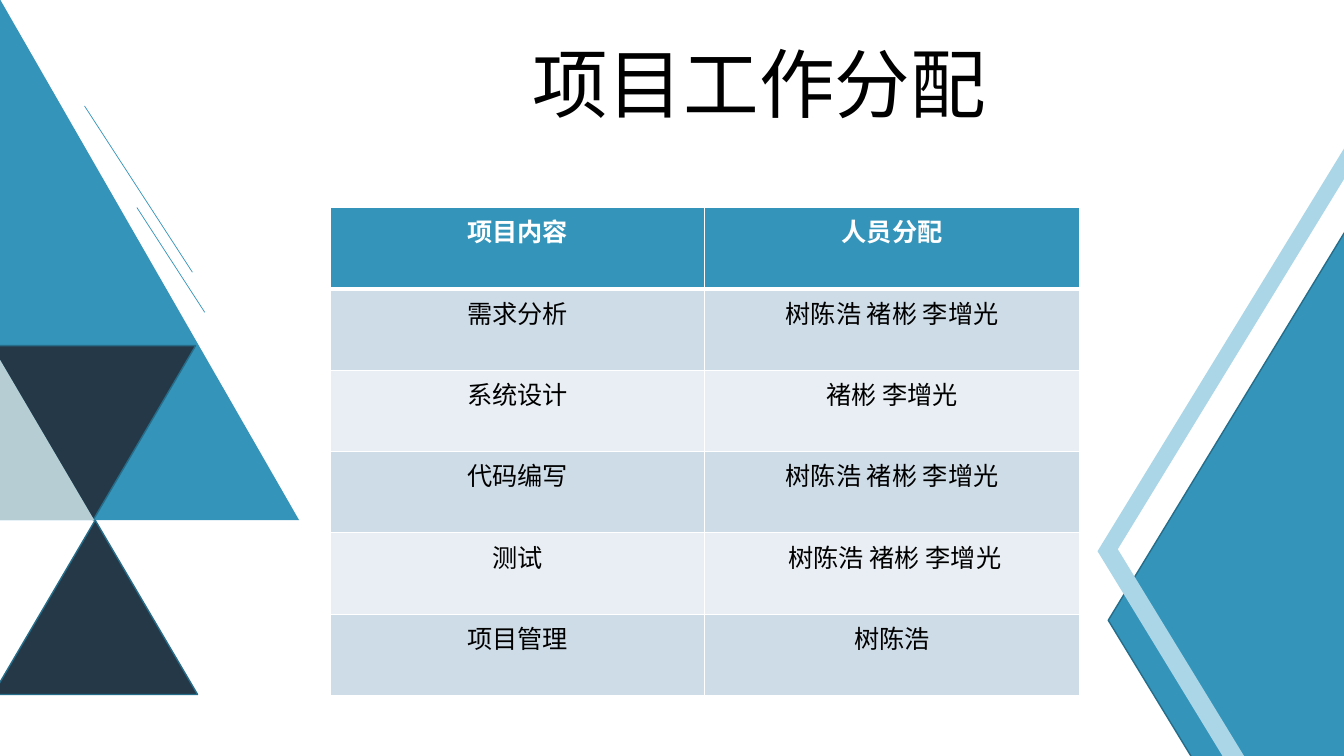
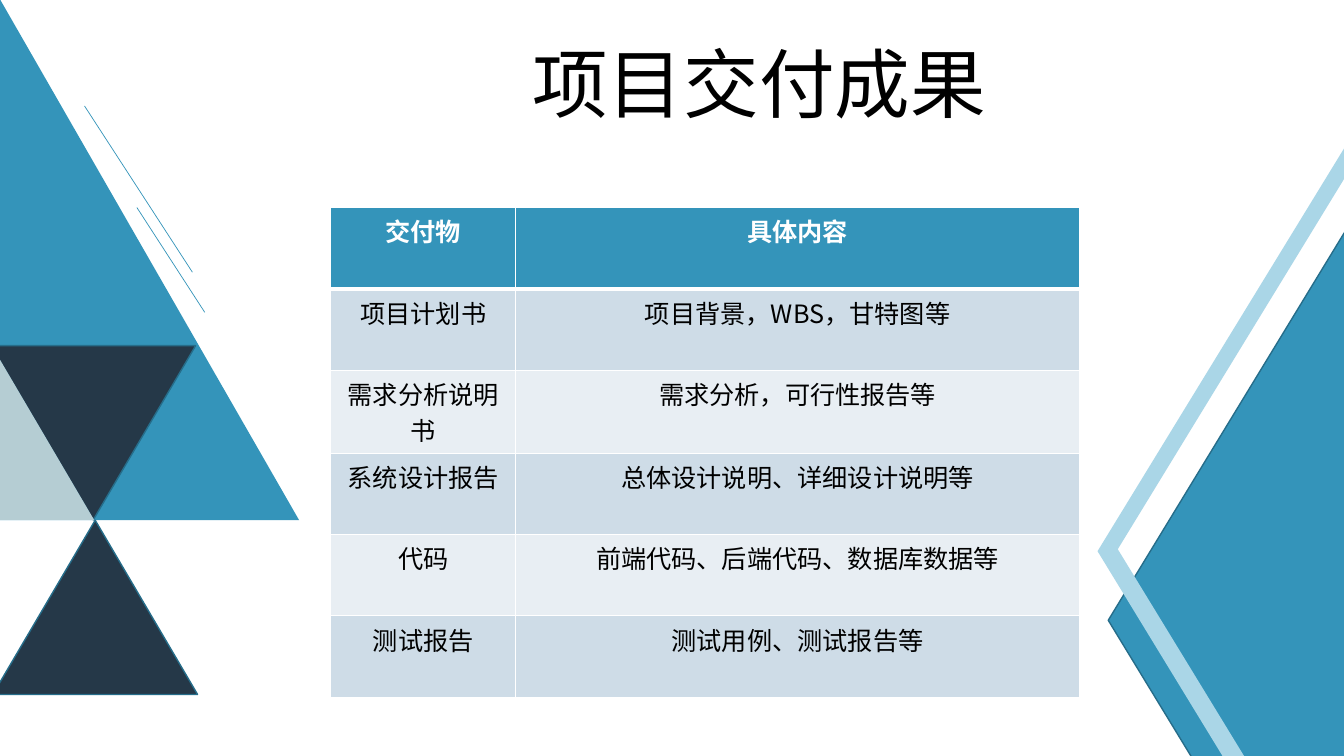
from lxml.etree import SubElement
from pptx import Presentation
from pptx.dml.color import RGBColor
from pptx.enum.shapes import MSO_CONNECTOR, MSO_SHAPE
from pptx.enum.text import MSO_ANCHOR, MSO_AUTO_SIZE, PP_ALIGN
from pptx.oxml.ns import qn
from pptx.util import Cm, Pt

# Content
SLIDES = [
    {
        "title": "项目工作分配",
        "columns": (9.43, 9.44),
        "rows": [
            ("项目内容", "人员分配"),
            ("需求分析", "树陈浩 褚彬 李增光"),
            ("系统设计", "褚彬 李增光"),
            ("代码编写", "树陈浩 褚彬 李增光"),
            ("测试", " 树陈浩 褚彬 李增光"),
            ("项目管理", "树陈浩"),
        ],
    },
    {
        "title": "项目交付成果",
        "columns": (4.67, 14.2),
        "rows": [
            ("交付物", "具体内容"),
            ("项目计划书", "项目背景，WBS，甘特图等"),
            ("需求分析说明书", "需求分析，可行性报告等"),
            ("系统设计报告", "总体设计说明、详细设计说明等"),
            ("代码", "前端代码、后端代码、数据库数据等"),
            ("测试报告", "测试用例、测试报告等"),
        ],
    },
]

# Shared style
COLORS = {
    "blue": "3494BA",
    "edge": "266D8A",
    "navy": "253848",
    "mist": "B5CDD3",
    "sky": "AAD6E7",
    "band_dark": "CEDCE7",
    "band_light": "E8EEF3",
    "white": "FFFFFF",
    "black": "000000",
}
TITLE_FONT, TABLE_FONT = "Noto Sans CJK JP", "Noto Sans CJK SC"
SLIDE_WIDTH, SLIDE_HEIGHT = 33.87, 19.05
TITLE_BOX = (13.16, 1.07, 17.35, 2.57)
TABLE_LEFT, TABLE_TOP, ROW_HEIGHT = 8.33, 5.23, 2.05

# Decoration: left, top, width, height, rotation, fill, outline
SMALL = (5.16, 4.39)
TRIANGLES = [
    (-7.52, 0, 15.06, 13.11, 0, "blue", None),
    (-0.23, 8.71, *SMALL, 180, "navy", "edge"),
    (-2.79, 8.71, *SMALL, 0, "mist", None),
    (20.83, 12.52, 20.42, 6.22, 270, "blue", "edge"),
    (-0.18, 13.11, *SMALL, 0, "navy", "edge"),
]
THIN_LINES = [(2.13, 2.67, 4.85, 6.86), (3.45, 5.23, 5.16, 7.87)]
CHEVRON = [(33.91, 3.68), (33.91, 4.45), (28.17, 13.84),
           (33.91, 23.24), (33.91, 24.13), (27.66, 13.89)]


def rgb(name):
    return RGBColor.from_string(COLORS[name])


def paint(shape, fill, outline=None):
    shape.shadow.inherit = False
    shape.fill.solid()
    shape.fill.fore_color.rgb = rgb(fill)
    if outline:
        shape.line.color.rgb = rgb(outline)
        shape.line.width = Pt(1)
    else:
        shape.line.fill.background()


def format_text(paragraph, face, size, color, align, bold=False):
    paragraph.alignment = align
    for run in paragraph.runs:
        font = run.font
        font.name, font.size, font.bold = face, Pt(size), bold
        font.color.rgb = rgb(color)
        latin = font._element.find(qn("a:latin"))
        east_asian = latin.makeelement(qn("a:ea"), {"typeface": face})
        latin.addnext(east_asian)


def add_decoration(slide):
    for left, top, width, height, turn, fill, outline in TRIANGLES:
        triangle = slide.shapes.add_shape(
            MSO_SHAPE.ISOSCELES_TRIANGLE, Cm(left), Cm(top), Cm(width), Cm(height))
        triangle.rotation = turn
        paint(triangle, fill, outline)
    for ends in THIN_LINES:
        thin_line = slide.shapes.add_connector(
            MSO_CONNECTOR.STRAIGHT, *(Cm(value) for value in ends))
        thin_line.line.color.rgb = rgb("blue")
        thin_line.line.width = Pt(0.5)
        SubElement(thin_line._element.spPr, qn("a:effectLst"))
    corners = [(Cm(x), Cm(y)) for x, y in CHEVRON]
    outline_path = slide.shapes.build_freeform(*corners[0])
    outline_path.add_line_segments(corners[1:], close=True)
    paint(outline_path.convert_to_shape(), "sky")


def add_title(slide, words):
    title = slide.shapes.title
    title.left, title.top, title.width, title.height = map(Cm, TITLE_BOX)
    frame = title.text_frame
    frame.text = words
    frame.auto_size = MSO_AUTO_SIZE.NONE
    frame.vertical_anchor = MSO_ANCHOR.TOP
    heading = frame.paragraphs[0]
    heading.line_spacing = 0.9
    format_text(heading, TITLE_FONT, 54, "black", PP_ALIGN.LEFT)


def set_borders(cell, row):
    widths = {"L": 1, "R": 1, "T": 3 if row == 1 else 1, "B": 3 if row == 0 else 1}
    properties = cell._tc.get_or_add_tcPr()
    for side, width in widths.items():
        border = SubElement(properties, qn(f"a:ln{side}"), w=str(Pt(width)))
        fill = SubElement(border, qn("a:solidFill"))
        SubElement(fill, qn("a:srgbClr"), val=COLORS["white"])


def add_content_table(slide, rows, columns):
    table = slide.shapes.add_table(
        len(rows), len(columns), Cm(TABLE_LEFT), Cm(TABLE_TOP),
        Cm(sum(columns)), Cm(ROW_HEIGHT * len(rows))).table
    for column, width in zip(table.columns, columns):
        column.width = Cm(width)
    for r, texts in enumerate(rows):
        table.rows[r].height = Cm(ROW_HEIGHT)
        header = r == 0
        band = "blue" if header else "band_dark" if r % 2 else "band_light"
        for c, words in enumerate(texts):
            cell = table.cell(r, c)
            cell.text_frame.text = words
            format_text(cell.text_frame.paragraphs[0], TABLE_FONT, 18,
                        "white" if header else "black", PP_ALIGN.CENTER, header)
            set_borders(cell, r)
            cell.fill.solid()
            cell.fill.fore_color.rgb = rgb(band)


def main():
    deck = Presentation()
    deck.slide_width, deck.slide_height = Cm(SLIDE_WIDTH), Cm(SLIDE_HEIGHT)
    title_only = deck.slide_layouts[5]
    for content in SLIDES:
        slide = deck.slides.add_slide(title_only)
        add_decoration(slide)
        add_title(slide, content["title"])
        add_content_table(slide, content["rows"], content["columns"])
    deck.save("out.pptx")


if __name__ == "__main__":
    main()
